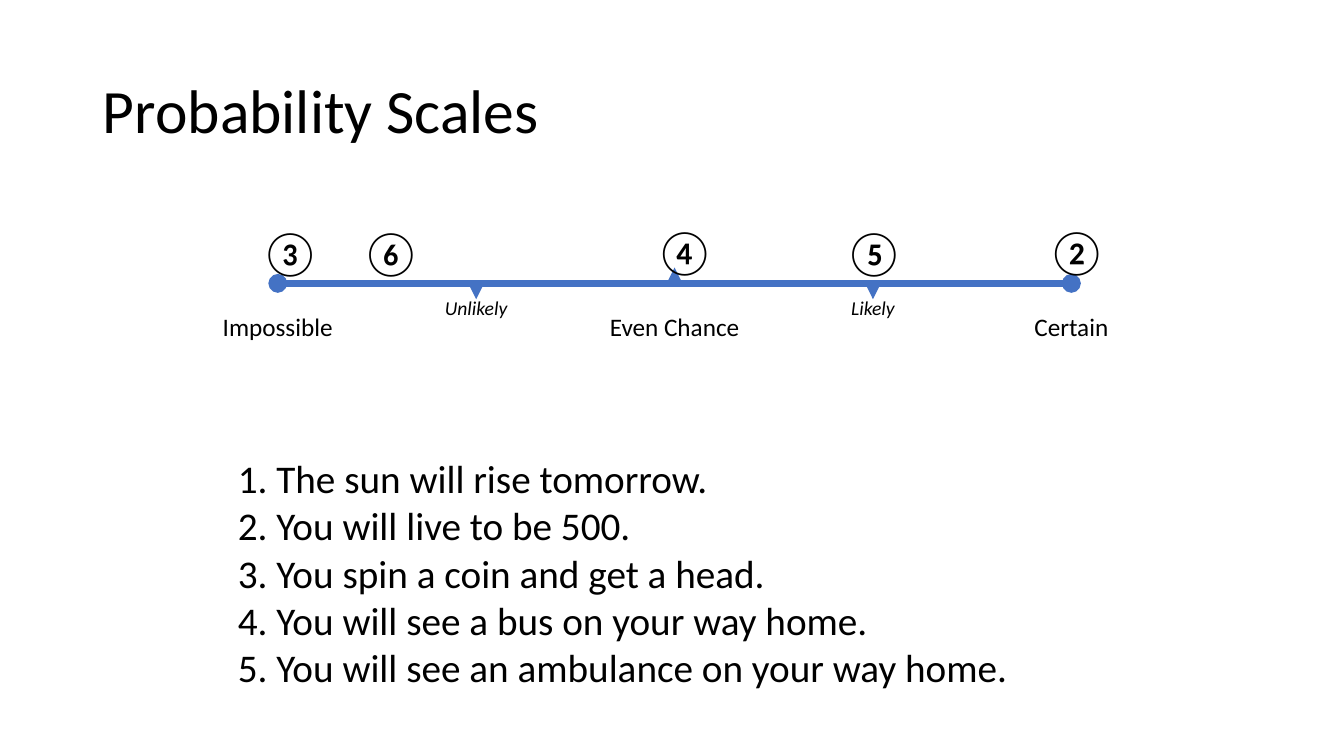
from dataclasses import dataclass

import pptx
import pptx.dml.color
import pptx.enum.shapes
import pptx.enum.text
import pptx.oxml.ns
import pptx.util
from lxml import etree
from pptx.util import Cm

ALIGN = pptx.enum.text.PP_ALIGN
ANCHOR = pptx.enum.text.MSO_ANCHOR
AUTO_SIZE = pptx.enum.text.MSO_AUTO_SIZE


@dataclass(frozen=True)
class Theme:
    font: str = "Calibri"
    text: str = "000000"
    accent: str = "4472C4"
    title_size: int = 44
    marker_size: int = 32
    list_size: int = 28
    label_size: int = 18
    minor_label_size: int = 14
    line_width: float = 4.5


THEME = Theme()

SCALE_LEFT = 7
SCALE_TOP = 7.14
SCALE_STEP = 5
TICK_LENGTH = 0.4

LABELS = [
    ("Impossible", 0, 3.4, False),
    ("Unlikely", 1, 3.4, True),
    ("Even Chance", 2, 3.94, False),
    ("Likely", 3, 3.4, True),
    ("Certain", 4, 3.4, False),
]
TICKS = [(1, 1), (2, -1), (3, 1)]
MARKERS = [
    ("③", 6.32, 5.54),
    ("⑥", 8.86, 5.54),
    ("④", 16.26, 5.51),
    ("⑤", 21.03, 5.54),
    ("②", 26.14, 5.51),
]
EVENTS = [
    "The sun will rise tomorrow.",
    "You will live to be 500.",
    "You spin a coin and get a head.",
    "You will see a bus on your way home.",
    "You will see an ambulance on your way home.",
]


def add_child(parent, tag, **attributes):
    return etree.SubElement(parent, pptx.oxml.ns.qn(tag), attributes)


def scale_position(index):
    return SCALE_LEFT + SCALE_STEP * index


def place(shape, left, top, width, height):
    shape.left, shape.top = Cm(left), Cm(top)
    shape.width, shape.height = Cm(width), Cm(height)


def write_text(paragraph, text, *, size, italic=False, align=ALIGN.LEFT, line_spacing=1.0):
    paragraph.alignment = align
    paragraph.line_spacing = line_spacing
    paragraph.space_before = pptx.util.Pt(0)
    run = paragraph.add_run()
    run.text = text
    run.font.name = THEME.font
    run.font.size = pptx.util.Pt(size)
    run.font.italic = italic
    run.font.color.rgb = pptx.dml.color.RGBColor.from_string(THEME.text)


def number_paragraph(paragraph, indent):
    properties = paragraph._p.get_or_add_pPr()
    properties.set("marL", str(Cm(indent)))
    properties.set("indent", str(-Cm(indent)))
    add_child(properties, "a:buFont", typeface="+mj-lt")
    add_child(properties, "a:buAutoNum", type="arabicPeriod")


def add_label(shapes, text, left, top, width, height, *, wrap=True, **text_format):
    box = shapes.add_textbox(Cm(left), Cm(top), Cm(width), Cm(height))
    box.text_frame.word_wrap = wrap
    write_text(box.text_frame.paragraphs[0], text, **text_format)


def add_line(shapes, start, end, **ends):
    line = shapes.add_connector(
        pptx.enum.shapes.MSO_CONNECTOR.STRAIGHT, *(Cm(length) for length in start + end)
    )
    line.line.color.rgb = pptx.dml.color.RGBColor.from_string(THEME.accent)
    line.line.width = pptx.util.Pt(THEME.line_width)
    outline = line.line._get_or_add_ln()
    for name, kind in ends.items():
        add_child(outline, f"a:{name}End", type=kind)
    add_child(line._element.spPr, "a:effectLst")


def add_scale(slide):
    shapes = slide.shapes.add_group_shape().shapes
    add_line(
        shapes,
        (scale_position(0), SCALE_TOP),
        (scale_position(4), SCALE_TOP),
        head="oval",
        tail="oval",
    )
    for index, direction in TICKS:
        position = scale_position(index)
        tip = SCALE_TOP + direction * TICK_LENGTH
        add_line(shapes, (position, SCALE_TOP), (position, tip), tail="triangle")
    for text, index, width, minor in LABELS:
        add_label(
            shapes,
            text,
            scale_position(index) - width / 2,
            7.32 if minor else 7.72,
            width,
            0.86 if minor else 1.02,
            size=THEME.minor_label_size if minor else THEME.label_size,
            italic=minor,
            align=ALIGN.CENTER,
        )


def fill_title(title, text):
    place(title, 2.34, 1.02, 29.21, 3.68)
    title.text_frame.vertical_anchor = ANCHOR.MIDDLE
    title.text_frame.auto_size = AUTO_SIZE.NONE
    write_text(title.text_frame.paragraphs[0], text, size=THEME.title_size, line_spacing=0.9)


def fill_list(body, items):
    place(body, 5.74, 11.33, 22.2, 6.25)
    frame = body.text_frame
    frame.auto_size = AUTO_SIZE.NONE
    for index, item in enumerate(items):
        paragraph = frame.add_paragraph() if index else frame.paragraphs[0]
        write_text(paragraph, item, size=THEME.list_size)
        number_paragraph(paragraph, 0.97)


def main():
    presentation = pptx.Presentation()
    presentation.slide_width = Cm(33.87)
    presentation.slide_height = Cm(19.05)
    slide = presentation.slides.add_slide(presentation.slide_layouts[1])
    fill_title(slide.shapes.title, "Probability Scales")
    fill_list(slide.placeholders[1], EVENTS)
    add_scale(slide)
    for symbol, left, top in MARKERS:
        add_label(
            slide.shapes, symbol, left, top, 1.52, 1.63, wrap=False, size=THEME.marker_size
        )
    presentation.save("out.pptx")


if __name__ == "__main__":
    main()
